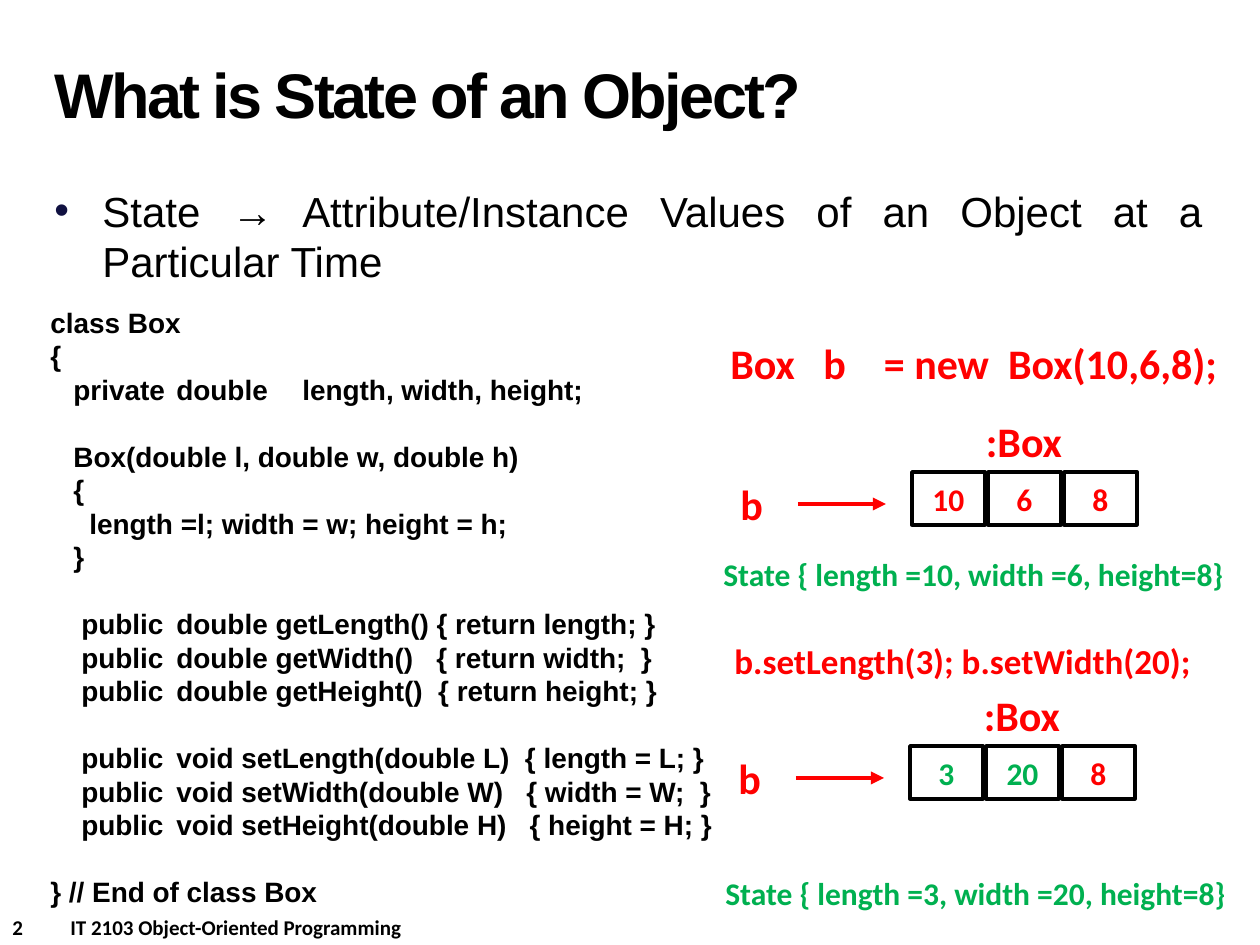
from lxml import etree
from pptx import Presentation
from pptx.dml.color import RGBColor
from pptx.enum.shapes import MSO_CONNECTOR as Connector, MSO_SHAPE as Shape
from pptx.enum.text import MSO_ANCHOR as Anchor, PP_ALIGN as Align
from pptx.oxml.ns import qn
from pptx.util import Emu, Pt

BLACK, RED, GREEN, NAVY = "000000", "FF0000", "00B050", "101141"
color = RGBColor.from_string


def px(n):
    """Convert pixels (126 to the inch) to EMU."""
    return Emu(round(n * 914400 / 126))


def write(text, at, size, ink=BLACK, font="Calibri", bold=True,
          align=Align.LEFT, anchor=Anchor.TOP, boxed=False):
    """Put text at (left, top, width, height), in an outlined cell if boxed."""
    place = [px(n) for n in at]
    if boxed:
        holder = slide.shapes.add_shape(Shape.RECTANGLE, *place)
        holder.shadow.inherit = False
        holder.fill.background()
        holder.line.color.rgb = color(BLACK)
        holder.line.width = Pt(2)
    else:
        holder = slide.shapes.add_textbox(*place)
    frame = holder.text_frame
    frame.word_wrap = True
    frame.vertical_anchor = anchor
    frame.text = text
    for paragraph in frame.paragraphs:
        paragraph.alignment = align
        for run in paragraph.runs:
            run.font.name = font
            run.font.size = Pt(size)
            run.font.bold = bold
            run.font.color.rgb = color(ink)
    return frame.paragraphs


prs = Presentation()
prs.slide_width, prs.slide_height = px(1260), px(945)
slide = prs.slides.add_slide(prs.slide_layouts[6])

# Footer: page number, then the course name at a tab stop
footer = write("2\tIT 2103 Object-Oriented Programming", (0, 908, 630, 38), 12)[0]
tabs = etree.SubElement(footer._p.get_or_add_pPr(), qn("a:tabLst"))
etree.SubElement(tabs, qn("a:tab"), pos=str(px(58)), algn="l")

# Title and definition
title = write("What is State of an Object?", (42, 21, 872, 158), 36,
              font="Arial", anchor=Anchor.MIDDLE)[0]
title.line_spacing = Pt(36)
title.runs[0]._r.get_or_add_rPr().set("spc", "-150")

definition = write("State → Attribute/Instance Values of an Object at a Particular Time",
                   (42, 179, 1173, 120), 24, font="Arial", bold=False,
                   align=Align.JUSTIFY)[0]
definition.space_before = Pt(5)
bullet = definition._p.get_or_add_pPr()
bullet.set("marL", str(px(48)))
bullet.set("indent", str(px(-48)))
bullet_color = etree.SubElement(bullet, qn("a:buClr"))
etree.SubElement(bullet_color, qn("a:srgbClr"), val=NAVY)
etree.SubElement(bullet, qn("a:buFont"), typeface="Arial")
etree.SubElement(bullet, qn("a:buChar"), char="•")

# Class listing: (indent in px, starts a new group, code)
code = [
    (0, False, "class Box"),
    (0, False, "{"),
    (23, False, "private\tdouble\tlength, width, height;"),
    (23, True, "Box(double l, double w, double h)"),
    (23, False, "{"),
    (39, False, "length =l; width = w; height = h;"),
    (23, False, "}"),
    (31, True, "public\tdouble getLength() { return length; }"),
    (31, False, "public\tdouble getWidth()   { return width;  }"),
    (31, False, "public\tdouble getHeight()  { return height; }"),
    (31, True, "public\tvoid setLength(double L)  { length = L; }"),
    (31, False, "public\tvoid setWidth(double W)   { width = W;  }"),
    (31, False, "public\tvoid setHeight(double H)   { height = H; }"),
    (0, True, "} // End of class Box"),
]
listing = write("\n".join(line for _, _, line in code), (38, 299, 697, 624), 16,
                font="Arial")
for paragraph, (indent, new_group, _) in zip(listing, code):
    # A first-line indent keeps the tab stops measured from the margin
    paragraph._p.get_or_add_pPr().set("indent", str(px(indent)))
    if new_group:
        paragraph.space_before = Pt(19)

# Statements that create and change the object
write("Box   b    = new  Box(10,6,8);", (718, 331, 525, 63), 24, RED)
write("b.setLength(3); b.setWidth(20);", (722, 633, 495, 55), 20, RED)

# Object before and after: left and top of the cells, values, state line
objects = [
    (912, 472, [("10", RED), ("6", RED), ("8", RED)],
     "State { length =10, width =6, height=8}", (711, 549)),
    (910, 746, [("3", GREEN), ("20", GREEN), ("8", RED)],
     "State { length =3, width =20, height=8}", (713, 868)),
]
for left, top, values, state, state_at in objects:
    for i, (value, ink) in enumerate(values):
        write(value, (left + 76 * i, top, 73, 53), 18, ink, align=Align.CENTER,
              anchor=Anchor.MIDDLE, boxed=True)
    write("b", (left - 184, top, 48, 63), 24, RED)
    reference = slide.shapes.add_connector(
        Connector.STRAIGHT, px(left - 114), px(top + 32), px(left - 26), px(top + 32))
    reference.line.color.rgb = color(RED)
    reference.line.width = Pt(2.5)
    etree.SubElement(reference.line._get_or_add_ln(), qn("a:tailEnd"), type="triangle")
    etree.SubElement(reference._element.spPr, qn("a:effectLst"))
    write(":Box", (left, top - 63, 224, 63), 24, RED, align=Align.CENTER)
    write(state, (*state_at, 532, 50), 18, GREEN)

prs.save("out.pptx")
